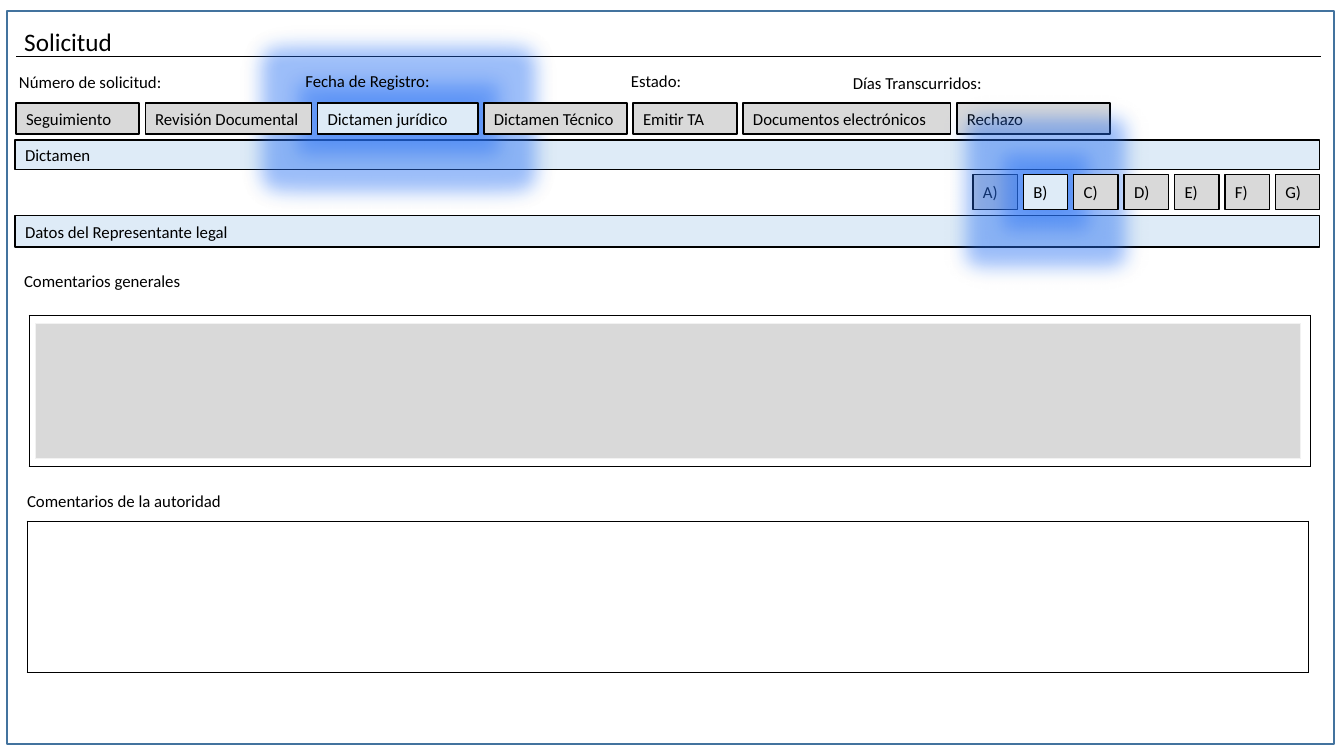
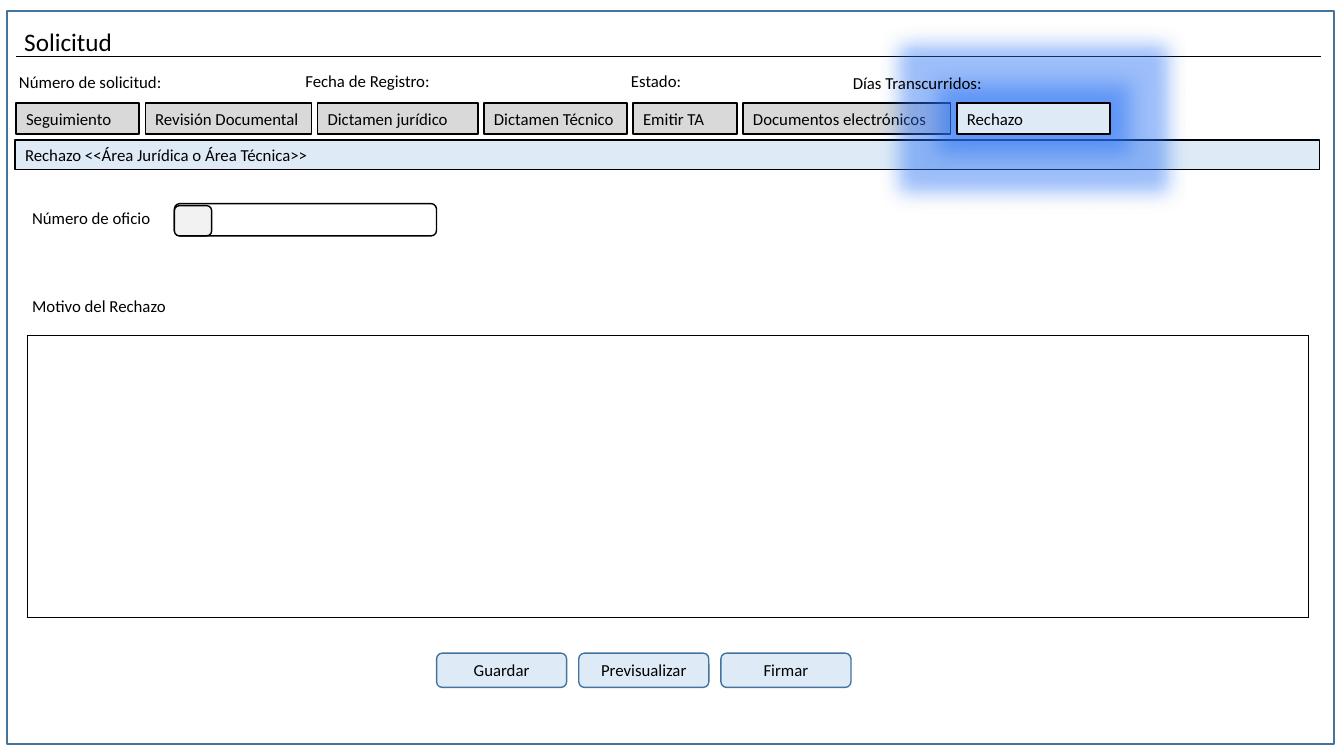
from lxml import etree
from pptx import Presentation
from pptx.dml.color import RGBColor
from pptx.enum.shapes import MSO_CONNECTOR as CONN, MSO_SHAPE as SHAPE
from pptx.enum.text import MSO_ANCHOR as ANCHOR, PP_ALIGN as ALIGN
from pptx.oxml import parse_xml
from pptx.oxml.ns import nsdecls, qn
from pptx.util import Pt

PX = 9144
COLORS = {"ink": "000000", "active": "DEEBF7", "idle": "D9D9D9", "pale": "F2F2F2",
          "white": "FFFFFF", "frame": "43739E", "glow": "2670F4"}
TABS = [("Seguimiento", 122), ("Revisión Documental", 165), ("Dictamen jurídico", 159),
        ("Dictamen Técnico", 142), ("Emitir TA", 103), ("Documentos electrónicos", 206),
        ("Rechazo", 152)]
FIELDS = [("Número de solicitud:", 9, 66), ("Fecha de Registro:", 293, 65),
          ("Estado:", 616, 65), ("Días Transcurridos:", 836, 67)]
TAB_GAP = 6
FIRST_DRAWN = 2


class Form:
    """Holds the style and the current slide of the application form."""

    def __init__(self):
        self.deck = Presentation()
        self.deck.slide_width, self.deck.slide_height = 1333 * PX, 750 * PX
        self.slide = None

    def rgb(self, color):
        return RGBColor.from_string(COLORS[color])

    def put_text(self, holder, text, size=12, align=ALIGN.LEFT, anchor=ANCHOR.TOP):
        frame = holder.text_frame
        frame.word_wrap = True
        frame.vertical_anchor = anchor
        paragraph = frame.paragraphs[0]
        paragraph.alignment = align
        run = paragraph.add_run()
        run.text = text
        run.font.name, run.font.size = "Calibri", Pt(size)
        run.font.color.rgb = self.rgb("ink")

    def box(self, at, fill=None, line="ink", text="", kind=SHAPE.RECTANGLE, align=ALIGN.LEFT):
        shape = self.slide.shapes.add_shape(kind, *(n * PX for n in at))
        shape.shadow.inherit = False
        if fill:
            shape.fill.solid()
            shape.fill.fore_color.rgb = self.rgb(fill)
        else:
            shape.fill.background()
        shape.line.color.rgb = self.rgb(line)
        shape.line.width = Pt(1)
        if text:
            self.put_text(shape, text, align=align, anchor=ANCHOR.MIDDLE)
        return shape

    def choice(self, at, text, active):
        shape = self.box(at, "active" if active else "idle", text=text)
        if active:
            tint = f'<a:srgbClr val="{COLORS["glow"]}"><a:alpha val="40000"/></a:srgbClr>'
            effects = parse_xml(
                f'<a:effectLst {nsdecls("a")}><a:glow rad="342900">{tint}</a:glow>'
                f'<a:outerShdw blurRad="190500" dist="0" algn="ctr" rotWithShape="0">{tint}'
                '</a:outerShdw></a:effectLst>')
            properties = shape.element.spPr
            properties.replace(properties.find(qn("a:effectLst")), effects)

    def label(self, text, left, top, width=337):
        holder = self.slide.shapes.add_textbox(left * PX, top * PX, width * PX, 30 * PX)
        self.put_text(holder, text)

    def rule(self, left, right, y):
        line = self.slide.shapes.add_connector(CONN.STRAIGHT, left * PX, y * PX, right * PX, y * PX)
        line.line.color.rgb = self.rgb("ink")
        line.line.width = Pt(0.5)
        etree.SubElement(line.element.spPr, qn("a:effectLst"))

    def comment_area(self, left, top, height):
        table = self.slide.shapes.add_table(
            1, 1, left * PX, top * PX, 1271 * PX, height * PX).table
        table.first_row = table.horz_banding = False
        cell = table.cell(0, 0)
        properties = cell._tc.get_or_add_tcPr()
        for side in ("lnL", "lnR", "lnT", "lnB"):
            properties.append(parse_xml(
                f'<a:{side} {nsdecls("a")} w="12700"><a:solidFill>'
                f'<a:srgbClr val="{COLORS["ink"]}"/></a:solidFill></a:{side}>'))
        cell.fill.background()

    def band(self, text, top, height):
        self.box((15, top, 1294, height), "active", text=text)

    def start(self, heading, active_tab):
        self.slide = self.deck.slides.add_slide(self.deck.slide_layouts[5])
        title = self.slide.shapes.title
        title.left, title.top, title.width, title.height = (n * PX for n in (14, 21, 511, 40))
        self.put_text(title, "Solicitud", size=18)
        self.rule(16, 1310, 56)
        self.box((7, 11, 1316, 727), line="frame")
        self.band(heading, 139, 29)
        placed, left = [], 16
        for name, width in TABS:
            placed.append((name, left, width))
            left += width + TAB_GAP
        for name, left, width in placed[FIRST_DRAWN:] + placed[:FIRST_DRAWN]:
            self.choice((left, 102, width, 31), name, name == active_tab)
        for name, left, top in FIELDS:
            self.label(name, left, top, 237)


def legal_opinion(form):
    form.start("Dictamen", "Dictamen jurídico")
    form.band("Datos del Representante legal", 214, 31)
    for index, letter in enumerate("ABCDEFG"):
        form.choice((965 + 50 * index, 173, 44, 35), f"{letter})", letter == "B")
    form.label("Comentarios generales", 14, 264)
    form.comment_area(29, 313, 150)
    form.box((35, 321, 1255, 134), "idle", "pale")
    form.label("Comentarios de la autoridad", 17, 482)
    form.comment_area(27, 517, 150)


def rejection(form):
    form.start("Rechazo <<Área Jurídica o Área Técnica>>", "Rechazo")
    form.label("Número de oficio", 22, 201)
    form.box((173, 202, 260, 32), "white", kind=SHAPE.ROUNDED_RECTANGLE)
    form.box((173, 204, 37, 30), "pale", kind=SHAPE.ROUNDED_RECTANGLE)
    form.label("Motivo del Rechazo", 22, 288)
    form.comment_area(27, 333, 280)
    for index, action in enumerate(("Guardar", "Previsualizar", "Firmar")):
        form.box((433 + 141 * index, 648, 129, 34), "active", "frame", action,
                 SHAPE.ROUNDED_RECTANGLE, ALIGN.CENTER)


def main():
    form = Form()
    legal_opinion(form)
    rejection(form)
    form.deck.save("out.pptx")


if __name__ == "__main__":
    main()
